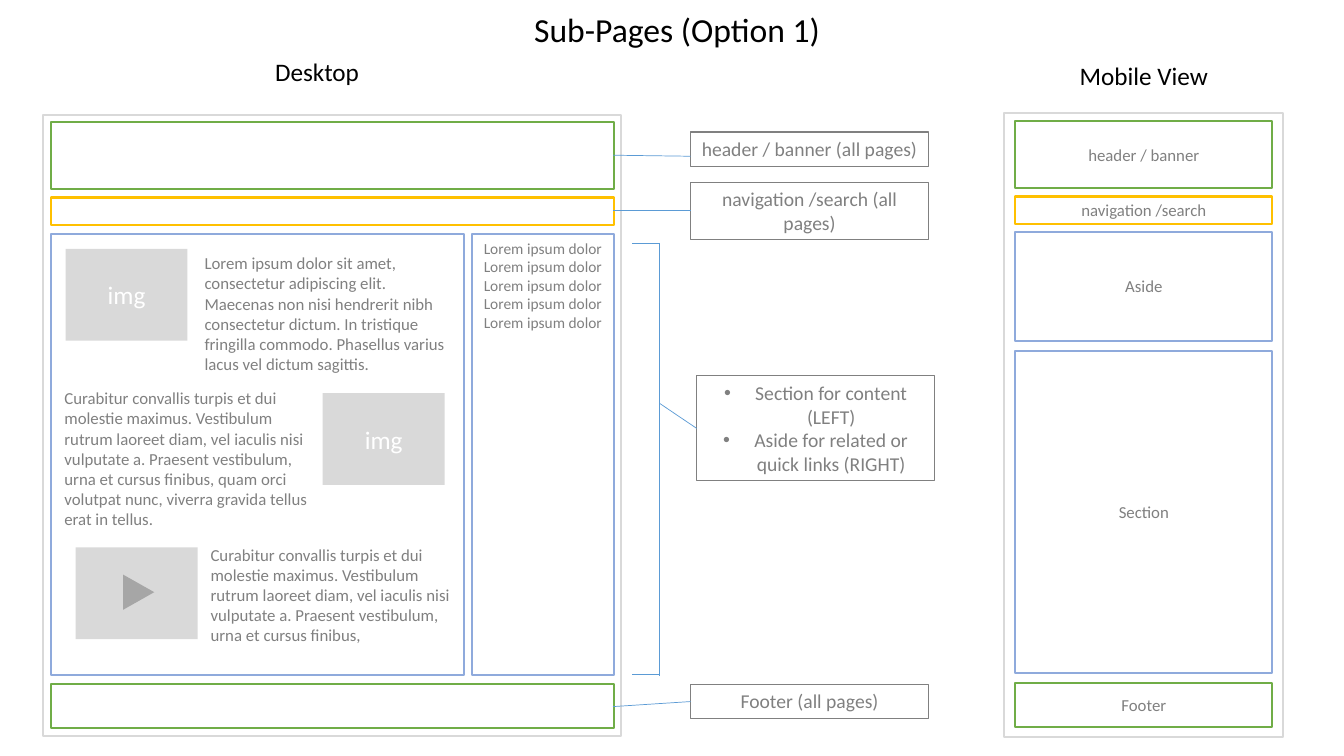
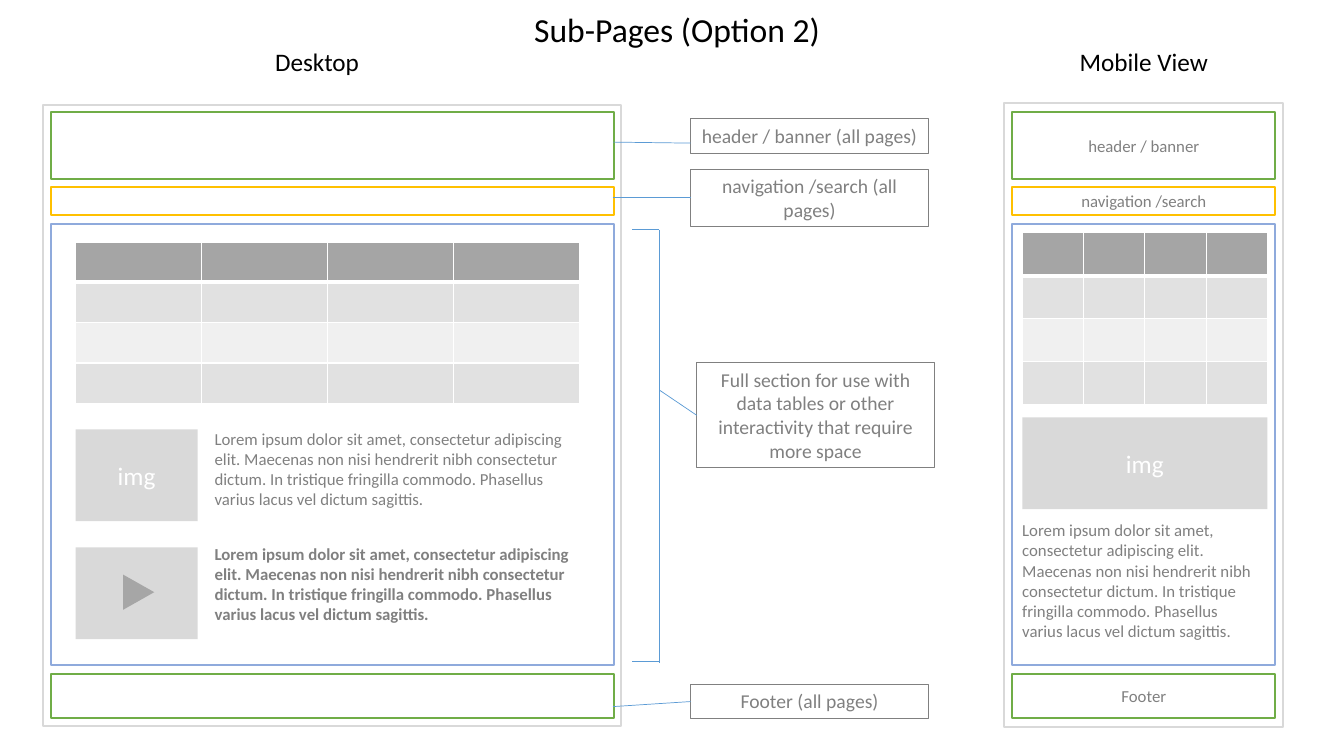
"""Wireframes of two sub-page layouts, for desktop and mobile."""
from dataclasses import dataclass

from lxml import etree
from pptx import Presentation
from pptx.dml.color import RGBColor
from pptx.enum.shapes import MSO_CONNECTOR, MSO_SHAPE
from pptx.enum.text import MSO_ANCHOR, MSO_AUTO_SIZE, PP_ALIGN
from pptx.oxml.ns import qn
from pptx.slide import Slide
from pptx.util import Inches, Pt

RECT, WEDGE = MSO_SHAPE.RECTANGLE, MSO_SHAPE.ISOSCELES_TRIANGLE
STRAIGHT = MSO_CONNECTOR.STRAIGHT
LEFT, MID = PP_ALIGN.LEFT, PP_ALIGN.CENTER
TOP, CENTRE = MSO_ANCHOR.TOP, MSO_ANCHOR.MIDDLE
FIXED, GROW = MSO_AUTO_SIZE.NONE, MSO_AUTO_SIZE.SHAPE_TO_FIT_TEXT

FONT = "Calibri"
BLACK, WHITE, GREY = "000000", "FFFFFF", "808080"
PALE, DARK = "D9D9D9", "A6A6A6"
GREEN, GOLD, BLUE, WIRE = "70AD47", "FFC000", "8FAADC", "5B9BD5"
ROWS = ("A5A5A5", "E1E1E1", "F0F0F0", "E1E1E1")

LOREM = ("Lorem ipsum dolor sit amet, consectetur adipiscing elit. Maecenas "
         "non nisi hendrerit nibh consectetur dictum. In tristique fringilla "
         "commodo. Phasellus varius lacus vel dictum sagittis.")
CURA = ("Curabitur convallis turpis et dui molestie maximus. Vestibulum "
        "rutrum laoreet diam, vel iaculis nisi vulputate a. Praesent "
        "vestibulum, urna et cursus finibus,")
CURA_END = " quam orci volutpat nunc, viverra gravida tellus erat in tellus."


@dataclass(frozen=True)
class Style:
    """Look of a box and its text."""
    size: float = 12
    ink: str = GREY
    align: PP_ALIGN = MID
    anchor: MSO_ANCHOR = TOP
    fit: MSO_AUTO_SIZE = FIXED
    fill: str = ""
    line: str = ""
    weight: float = 1.5
    bold: bool = False
    bullet: bool = False


@dataclass(frozen=True)
class Box:
    """A styled box in inches, with one string per paragraph."""
    left: float
    top: float
    width: float
    height: float
    style: Style
    text: tuple[str, ...] = ()


@dataclass(frozen=True)
class Band:
    """A page band, with its place on the desktop page and its label."""
    top: float
    height: float
    line: str
    label: str


@dataclass(frozen=True)
class Wire:
    """A straight line between two points in inches."""
    x1: float
    y1: float
    x2: float
    y2: float


@dataclass(frozen=True)
class Page:
    """What changes in the frames and notes of a slide."""
    title: str
    desk: float
    phone: float
    heads: tuple[float, float]
    inset: float
    shift: float
    note: tuple[str, ...]
    bullet: bool


TITLE = Style(24, BLACK, fit=GROW)
HEAD = Style(18, BLACK, fit=GROW)
BODY = Style(align=LEFT, fit=GROW)
STRONG = Style(align=LEFT, fit=GROW, bold=True)
IMG = Style(18, WHITE, anchor=CENTRE, fill=PALE)
FRAME = Style(line=PALE)
AREA = Style(anchor=CENTRE, line=BLUE)
ASIDE = Style(11, line=BLUE)

BANDS = (Band(0.07, 0.67, GREEN, "header / banner"),
         Band(0.82, 0.27, GOLD, "navigation /search"),
         Band(5.65, 0.43, GREEN, "Footer"))
DESK_X, DESK_W = 0.51, 5.58
PHONE_X, PHONE_W = 9.96, 2.77
AREA_DY, AREA_H = 1.18, 4.38
IMG_W, IMG_H = 1.21, 0.91

PAGES = (
    Page("Sub-Pages (Option 1)", 1.14, 1.13, (0.51, 0.55), 0.11, 0,
         ("Section for content (LEFT)",
          "Aside for related or quick links (RIGHT)"), True),
    Page("Sub-Pages (Option 2)", 1.04, 1.04, (0.41, 0.41), 0.08, -0.13,
         ("Full section for use with data tables or other interactivity "
          "that require more space",), False),
)


def tint(code: str) -> RGBColor:
    """Turn a hex string into a colour."""
    return RGBColor.from_string(code)


def write(shape, style: Style, text: tuple[str, ...]) -> None:
    """Fill the text frame of a shape."""
    frame = shape.text_frame
    form = {"word_wrap": True, "auto_size": style.fit,
            "vertical_anchor": style.anchor}
    for name, value in form.items():
        setattr(frame, name, value)
    face = {"name": FONT, "size": Pt(style.size), "bold": style.bold}
    for num, words in enumerate(text):
        para = frame.paragraphs[0] if num == 0 else frame.add_paragraph()
        para.alignment = style.align
        run = para.add_run()
        run.text = words
        for name, value in face.items():
            setattr(run.font, name, value)
        run.font.color.rgb = tint(style.ink)
        if style.bullet:
            props = para._p.get_or_add_pPr()
            props.set("marL", str(Inches(0.31)))
            props.set("indent", str(Inches(-0.31)))
            etree.SubElement(props, qn("a:buFont"), typeface="Arial")
            etree.SubElement(props, qn("a:buChar"), char="•")


def draw(slide: Slide, box: Box, form: MSO_SHAPE = RECT,
         turn: float = 0) -> None:
    """Draw a box, as plain text if it has neither fill nor line."""
    place = [Inches(n) for n in (box.left, box.top, box.width, box.height)]
    style = box.style
    if style.fill or style.line:
        shape = slide.shapes.add_shape(form, *place)
        shape.shadow.inherit = False
        shape.rotation = turn
        if style.fill:
            shape.fill.solid()
            shape.fill.fore_color.rgb = tint(style.fill)
        else:
            shape.fill.background()
        if style.line:
            shape.line.color.rgb = tint(style.line)
            shape.line.width = Pt(style.weight)
        else:
            shape.line.fill.background()
    else:
        shape = slide.shapes.add_textbox(*place)
    if box.text:
        write(shape, style, box.text)


def link(slide: Slide, wire: Wire) -> None:
    """Draw a thin line."""
    ends = [Inches(n) for n in (wire.x1, wire.y1, wire.x2, wire.y2)]
    line = slide.shapes.add_connector(STRAIGHT, *ends)
    line.line.color.rgb = tint(WIRE)
    line.line.width = Pt(0.5)
    etree.SubElement(line._element.spPr, qn("a:effectLst"))


def edge(cell, side: str, weight: float) -> None:
    """Give one side of a cell a white border."""
    props = cell._tc.get_or_add_tcPr()
    line = etree.SubElement(props, qn(f"a:{side}"), w=str(Pt(weight)))
    fill = etree.SubElement(line, qn("a:solidFill"))
    etree.SubElement(fill, qn("a:srgbClr"), val=WHITE)


def grid(slide: Slide, left: float, top: float, width: float,
         height: float, cols: int = 4) -> None:
    """Draw an empty table with one colour per row."""
    place = [Inches(n) for n in (left, top, width, height)]
    table = slide.shapes.add_table(len(ROWS), cols, *place).table
    for row, code in enumerate(ROWS):
        sides = {"lnL": 1, "lnR": 1, "lnT": 3 if row == 1 else 1,
                 "lnB": 3 if row == 0 else 1}
        for col in range(cols):
            cell = table.cell(row, col)
            for side, weight in sides.items():
                edge(cell, side, weight)
            cell.fill.solid()
            cell.fill.fore_color.rgb = tint(code)


def video(slide: Slide) -> None:
    """Draw a video block with its play sign."""
    draw(slide, Box(0.75, 5.43, IMG_W, IMG_H, IMG))
    draw(slide, Box(1.2, 5.72, 0.35, 0.31, Style(fill=DARK)), WEDGE, 90)


def image(slide: Slide, left: float, top: float, width: float = IMG_W) -> None:
    """Draw an image block."""
    draw(slide, Box(left, top, width, IMG_H, IMG, ("img",)))


def notes(slide: Slide, page: Page) -> None:
    """Draw the callouts, their leaders and the bracket."""
    dy = page.shift
    call = Style(14, fit=GROW, line=GREY, weight=0.75)
    main = Style(14, fit=GROW, line=GREY, weight=0.75, bullet=page.bullet)
    for box in (
            Box(6.85, 1.31 + dy, 2.36, 0.34, call,
                ("header / banner (all pages)",)),
            Box(6.85, 1.81 + dy, 2.36, 0.57, call,
                ("navigation /search (all pages)",)),
            Box(6.85, 6.79, 2.36, 0.34, call, ("Footer (all pages)",)),
            Box(6.91, 3.73 + dy, 2.36, 1.04, main, page.note)):
        draw(slide, box)
    for wire in (Wire(6.08, 1.54 + dy, 6.85, 1.55 + dy),
                 Wire(6.08, 2.09 + dy, 6.85, 2.09 + dy),
                 Wire(6.08, 7.01, 6.85, 6.96),
                 Wire(6.27, 2.41 + dy, 6.54, 2.41 + dy),
                 Wire(6.54, 2.41 + dy, 6.54, 6.71 + dy),
                 Wire(6.27, 6.69 + dy, 6.54, 6.69 + dy),
                 Wire(6.91, 4.25 + dy, 6.54, 4 + dy)):
        link(slide, wire)


def base(slide: Slide, page: Page) -> None:
    """Draw the title, heads, frames, bands and notes."""
    draw(slide, Box(5.16, 0.04, 3.11, 0.5, TITLE, (page.title,)))
    names = ("Desktop", "Mobile View")
    for left, top, name in zip((2.21, 10.41), page.heads, names):
        draw(slide, Box(left, top, 1.87, 0.4, HEAD, (name,)))
    draw(slide, Box(0.43, page.desk, 5.73, 6.16, FRAME))
    draw(slide, Box(PHONE_X, page.desk - 0.02, PHONE_W, 6.19, FRAME))
    for band in BANDS:
        style = Style(anchor=CENTRE, line=band.line)
        draw(slide, Box(DESK_X, page.desk + band.top, DESK_W, band.height,
                        style))
        draw(slide, Box(PHONE_X + page.inset, page.phone + band.top,
                        PHONE_W - 2 * page.inset, band.height, style,
                        (band.label,)))
    notes(slide, page)


def split(slide: Slide, page: Page) -> None:
    """Draw the content of the section and aside layout."""
    top = page.desk + AREA_DY
    left, width = PHONE_X + page.inset, PHONE_W - 2 * page.inset
    for box in (
            Box(DESK_X, top, 4.09, AREA_H, AREA),
            Box(4.68, top, 1.41, AREA_H, ASIDE, ("Lorem ipsum dolor",) * 5),
            Box(left, 2.3, width, 1.08, AREA, ("Aside",)),
            Box(left, 3.48, width, 3.2, AREA, ("Section",)),
            Box(1.93, 2.46, 2.69, 1.31, BODY, (LOREM,)),
            Box(0.54, 3.8, 2.71, 1.51, BODY, (CURA + CURA_END,)),
            Box(1.99, 5.35, 2.71, 1.11, BODY, (CURA,))):
        draw(slide, box)
    image(slide, 0.65, 2.47)
    image(slide, 3.2, 3.9)


def full(slide: Slide, page: Page) -> None:
    """Draw the content of the full section layout."""
    top = page.desk + AREA_DY
    left, width = PHONE_X + page.inset, PHONE_W - 2 * page.inset
    for box in (Box(DESK_X, top, DESK_W, AREA_H, AREA),
                Box(left, top, width, AREA_H, AREA),
                Box(2.03, 4.2, 3.72, 0.91, BODY, (LOREM,)),
                Box(2.03, 5.34, 3.72, 0.91, STRONG, (LOREM,)),
                Box(10.04, 5.11, 2.53, 1.31, BODY, (LOREM,))):
        draw(slide, box)
    grid(slide, 0.75, 2.4, 5, 1.6)
    grid(slide, 10.14, 2.31, 2.43, 1.7)
    image(slide, 0.75, 4.26)
    image(slide, 10.14, 4.14, 2.43)


deck = Presentation()
deck.slide_width, deck.slide_height = Inches(13.33), Inches(7.5)
for page, fill in zip(PAGES, (split, full)):
    slide = deck.slides.add_slide(deck.slide_layouts[6])
    base(slide, page)
    fill(slide, page)
    video(slide)
deck.save("out.pptx")
